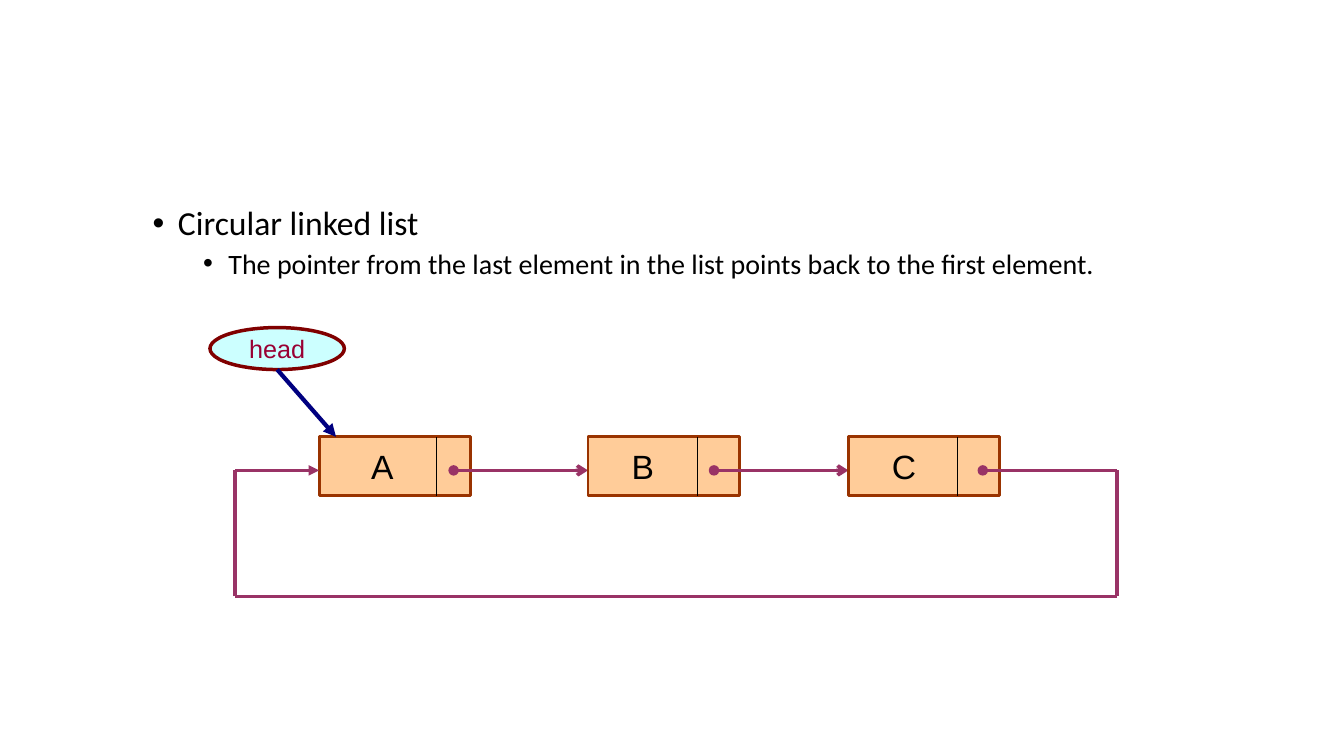
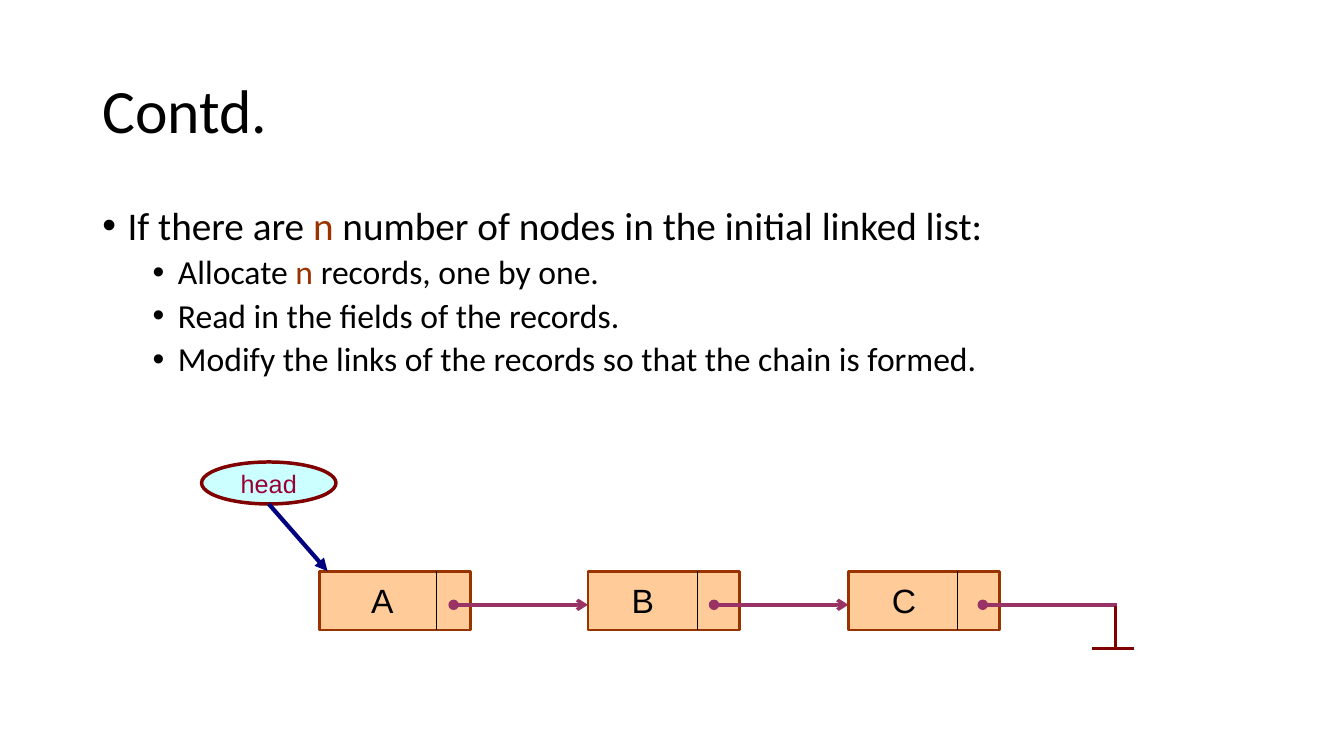
from dataclasses import dataclass
from lxml.etree import SubElement
from pptx import Presentation
from pptx.dml.color import RGBColor as Rgb
from pptx.enum.shapes import MSO_CONNECTOR as Conn, MSO_SHAPE as Kind
from pptx.enum.text import MSO_ANCHOR as Anchor, PP_ALIGN as Align
from pptx.oxml.ns import qn
from pptx.util import Inches, Pt


@dataclass(frozen=True)
class Theme:
    """Colours, fonts and type sizes of the slides."""
    ink: str = "000000"
    rust: str = "993300"
    peach: str = "FFCC99"
    plum: str = "993366"
    maroon: str = "800000"
    aqua: str = "CCFFFF"
    wine: str = "990033"
    navy: str = "000080"
    body: str = "Calibri"
    mark: str = "Arial"
    title: int = 44
    levels: tuple = (28, 24, 20)
    gaps: tuple = (10, 5, 5)
    node: int = 24
    head: int = 18


T = Theme()
COLS, ROWS = 160, 90
WIDE, HIGH = Inches(13.33), Inches(7.5)
NODES = (("A", 38, 54, 70), ("B", 70, 85, 101), ("C", 101, 117, 133))
PITCH = 31
END = NODES[-1][-1]


def spot(col, row):
    """Turn a column and a row into a point on the slide."""
    return round(WIDE * col / COLS), round(HIGH * row / ROWS)


def area(col, row, cols, rows):
    """Turn a grid area into left, top, width and height."""
    return *spot(col, row), *spot(cols, rows)


def style(font, name, size, color):
    """Set face, size and colour of a font."""
    font.name, font.size = name, Pt(size)
    font.color.rgb = Rgb.from_string(color)


def stroke(line, color, width):
    """Set colour and width of a line."""
    line.color.rgb = Rgb.from_string(color)
    line.width = Pt(width)


def wire(slide, start, stop, color=T.plum, width=2.5, head=None, tail=None):
    """Draw a straight line with optional ends."""
    link = slide.shapes.add_connector(
        Conn.STRAIGHT, *spot(*start), *spot(*stop))
    stroke(link.line, color, width)
    props = link._element.spPr
    ln = props.find(qn("a:ln"))
    for tag, kind in (("a:headEnd", head), ("a:tailEnd", tail)):
        if kind:
            SubElement(ln, qn(tag)).set("type", kind)
    SubElement(props, qn("a:effectLst"))


def block(slide, kind, box, fill, edge, width):
    """Draw a filled shape with an outline."""
    shape = slide.shapes.add_shape(kind, *area(*box))
    shape.shadow.inherit = False
    shape.fill.solid()
    shape.fill.fore_color.rgb = Rgb.from_string(fill)
    stroke(shape.line, edge, width)
    return shape


def chain(slide, row):
    """Draw the linked nodes with their labels."""
    mid = row + 4
    for i, (name, left, dot, stop) in enumerate(NODES):
        block(slide, Kind.RECTANGLE, (left, row, 18, 7), T.peach, T.rust, 2)
        split = 52 + i * PITCH
        wire(slide, (split, row), (split, row + 7), T.ink, 0.75)
        wire(slide, (dot, mid), (stop, mid), head="oval",
             tail=None if stop == END else "arrow")
        label = slide.shapes.add_textbox(*area(split - 9, row, 8, 6))
        frame = label.text_frame
        frame.word_wrap = True
        frame.margin_top = Inches(0.09)
        para = frame.paragraphs[0]
        para.text = name
        style(para.font, T.mark, T.node, T.ink)


def start(slide, col, row):
    """Draw the head pointer and its arrow."""
    oval = block(slide, Kind.OVAL, (col, row, 16, 5), T.aqua, T.maroon, 2.5)
    frame = oval.text_frame
    frame.word_wrap = False
    frame.vertical_anchor = Anchor.MIDDLE
    para = frame.paragraphs[0]
    para.text = "head"
    para.alignment = Align.CENTER
    style(para.font, T.mark, T.head, T.wine)
    wire(slide, (col + 8, row + 5), (col + 15, row + 13), T.navy, 3,
         tail="triangle")


def points(slide, items):
    """Write the bullets, with the odd parts of each in rust."""
    frame = slide.shapes.add_textbox(*area(11, 24, 138, 57)).text_frame
    frame.word_wrap = True
    for i, (level, *parts) in enumerate(items):
        para = frame.add_paragraph() if i else frame.paragraphs[0]
        para.level = level
        para.line_spacing = 0.9
        para.space_before = Pt(T.gaps[level])
        props = para._p.get_or_add_pPr()
        props.set("marL", str(Inches(0.25 + level / 2)))
        props.set("indent", str(Inches(-0.25)))
        SubElement(props, qn("a:buFont")).set("typeface", T.mark)
        SubElement(props, qn("a:buChar")).set("char", "•")
        style(para.font, T.body, T.levels[level], T.ink)
        for j, part in enumerate(parts):
            run = para.add_run()
            run.text = part
            if j % 2:
                run.font.color.rgb = Rgb.from_string(T.rust)


def head(slide, text):
    """Place and format the slide title."""
    title = slide.shapes.title
    title.left, title.top, title.width, title.height = area(11, 4.8, 138, 17.4)
    frame = title.text_frame
    frame.vertical_anchor = Anchor.MIDDLE
    para = frame.paragraphs[0]
    para.text = text
    para.alignment = Align.LEFT
    para.line_spacing = 0.9
    style(para.font, T.body, T.title, T.ink)


def ring(deck):
    """Build the slide on the circular list."""
    slide = deck.slides.add_slide(deck.slide_layouts[6])
    points(slide, (
        (1, "Circular linked list"),
        (2, "The pointer from the last element in the list points back "
            "to the first element."),
    ))
    chain(slide, 52)
    turns = ((END, 56), (END, 71), (28, 71), (28, 56), (38, 56))
    for here, there in zip(turns, turns[1:]):
        wire(slide, here, there,
             tail="triangle" if there == turns[-1] else None)
    start(slide, 25, 39)


def build(deck):
    """Build the slide on forming the chain."""
    slide = deck.slides.add_slide(deck.slide_layouts[5])
    head(slide, "Contd.")
    points(slide, (
        (0, "If there are ", "n", " number of nodes in the initial linked list:"),
        (1, "Allocate ", "n", " records, one by one."),
        (1, "Read in the fields of the records."),
        (1, "Modify the links of the records so that the chain is formed."),
    ))
    chain(slide, 68)
    wire(slide, (132.8, 72.2), (132.8, 77.2), T.maroon)
    wire(slide, (130, 77.2), (135, 77.2), T.maroon)
    start(slide, 24, 55)


def main():
    """Build and save the deck."""
    deck = Presentation()
    deck.slide_width, deck.slide_height = WIDE, HIGH
    ring(deck)
    build(deck)
    deck.save("out.pptx")


main()
